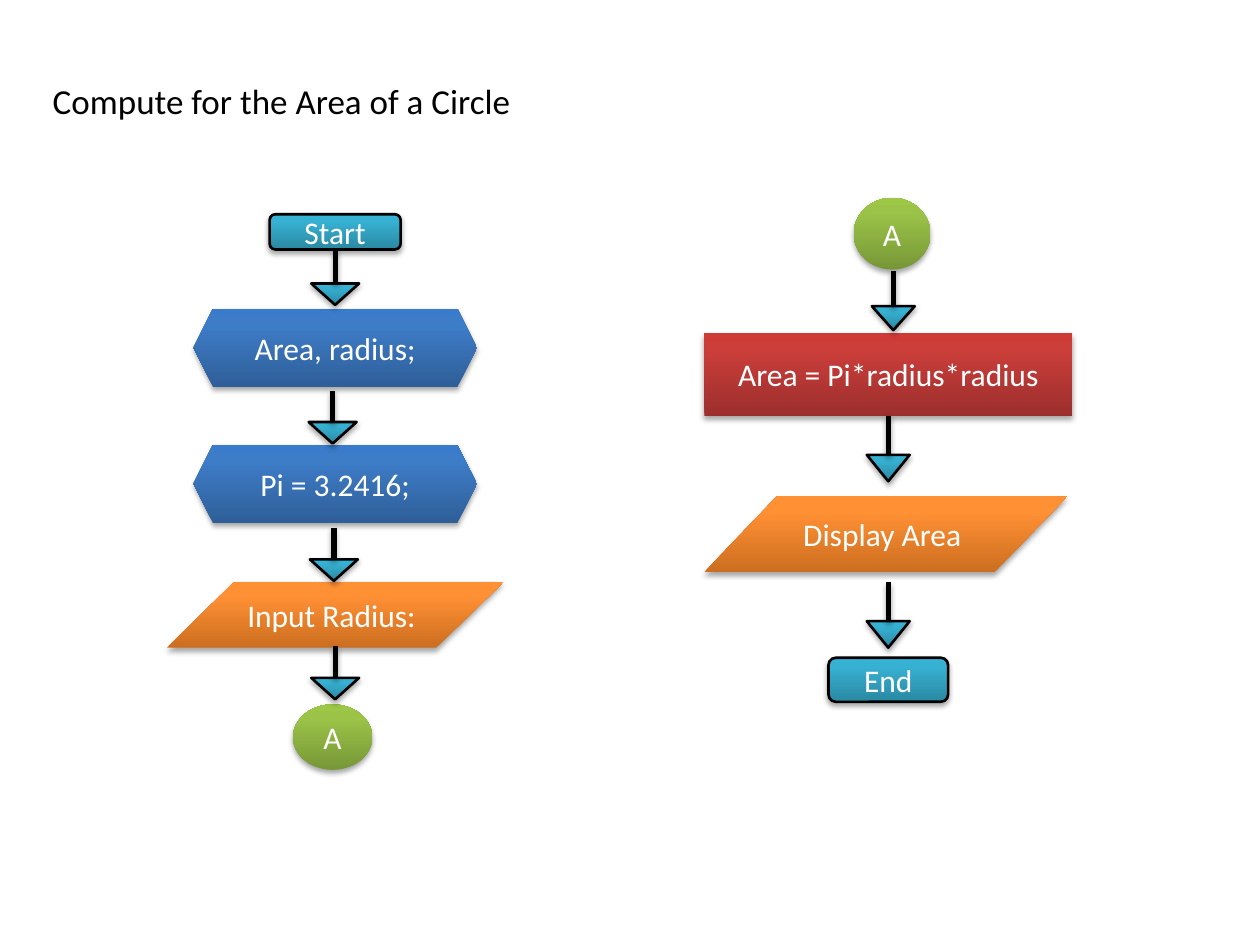
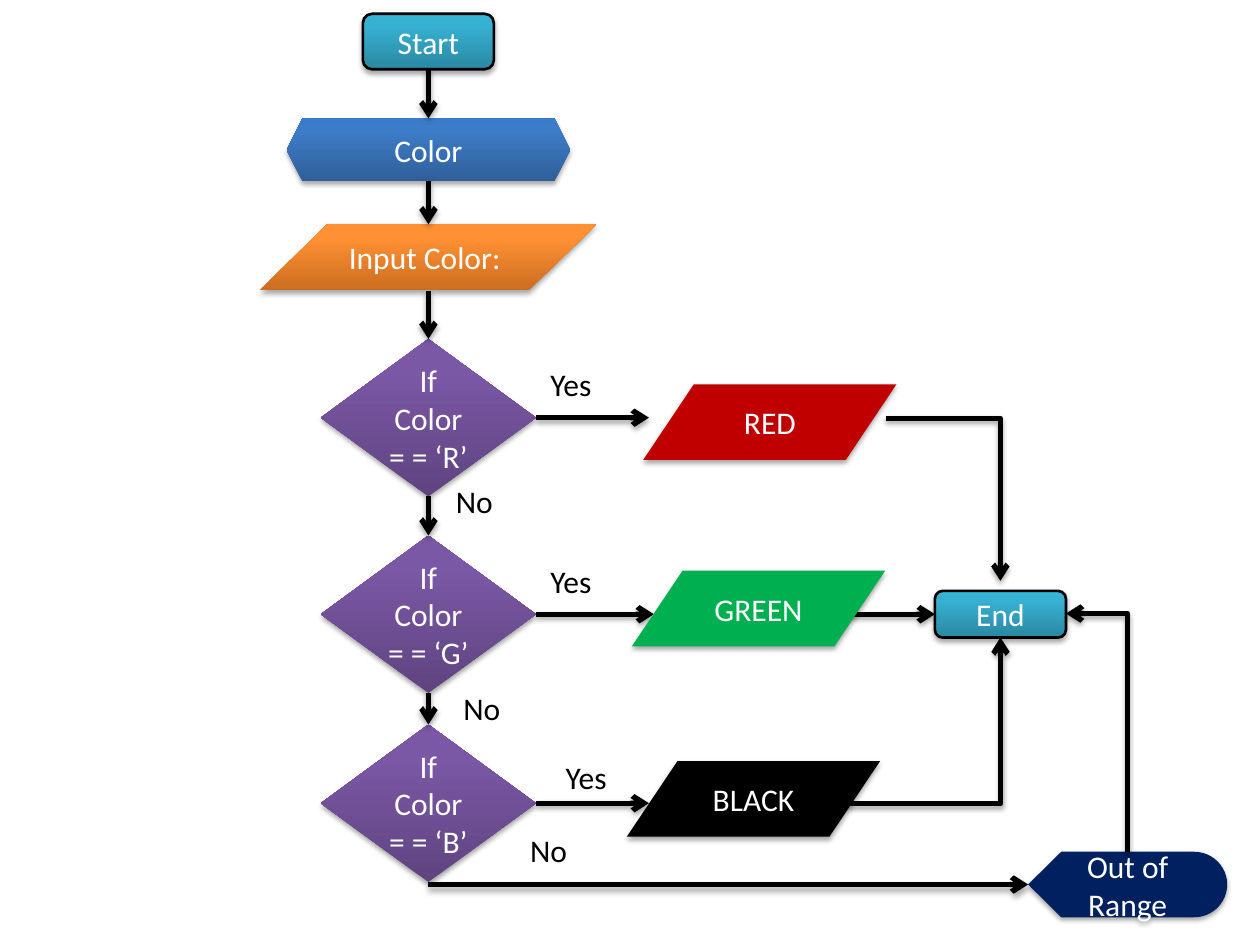
from copy import deepcopy
from dataclasses import dataclass

from pptx import Presentation, util as u
from pptx.dml.color import RGBColor
from pptx.enum import shapes, text as t
from pptx.oxml import parse_xml
from pptx.oxml.ns import nsdecls, qn

MSO = shapes.MSO_SHAPE
TOP, LEFT, BOTTOM, RIGHT = range(4)


@dataclass(frozen=True)
class Theme:
    font: str = "Calibri"
    title_size: int = 20
    body_size: int = 18
    ink: str = "000000"
    paper: str = "FFFFFF"
    teal: tuple = ("2A88A2", "37B1D2", "34B4D6")
    blue: tuple = ("2F5F99", "3D7CC7", "3A7CCB")
    orange: tuple = ("CC6E20", "FF9034", "FF9136")
    brick: tuple = ("9C2F2D", "CB3E3A", "CE3B37")
    lime: tuple = ("779737", "9BC348", "9DC746")
    purple: tuple = ("5F4480", "7B58A6", "7C57A8")
    red: str = "C00000"
    green: str = "00B050"
    navy: str = "002060"
    stops: tuple = (0, 0.8, 1)
    outline: float = 1.5
    stroke: float = 3


def rgb(value):
    return RGBColor.from_string(value)


def put_text(tf, content, *, font, size, color, align=None, anchor=None):
    tf.word_wrap = True
    tf.vertical_anchor = anchor
    p = tf.paragraphs[0]
    p.alignment = align
    r = p.add_run()
    r.text = content
    r.font.name, r.font.size = font, u.Pt(size)
    r.font.color.rgb = rgb(color)


class Flowchart:
    """Draws flowchart elements in one style on the current slide."""

    def __init__(self, prs, theme):
        self.prs, self.theme, self.s = prs, theme, None

    def new_slide(self):
        self.s = self.prs.slides.add_slide(self.prs.slide_layouts[6])

    def shadow(self, sp):
        spPr = sp._element.spPr
        for old in spPr.findall(qn("a:effectLst")):
            spPr.remove(old)
        spPr.append(parse_xml(
            f'<a:effectLst {nsdecls("a")}><a:outerShdw blurRad="{u.Pt(3.1)}" dist="{u.Pt(1.8)}" '
            f'dir="5400000" rotWithShape="0"><a:srgbClr val="{self.theme.ink}">'
            '<a:alpha val="35000"/></a:srgbClr></a:outerShdw></a:effectLst>'))

    def paint(self, sp, fill):
        if isinstance(fill, str):
            sp.fill.solid()
            sp.fill.fore_color.rgb = rgb(fill)
            return
        sp.fill.gradient()
        sp.fill.gradient_angle = 90
        stops = sp._element.spPr.find(".//" + qn("a:gsLst"))
        stops.append(deepcopy(stops[-1]))
        for stop, color, position in zip(sp.fill.gradient_stops, fill, self.theme.stops):
            stop.color.rgb, stop.position = rgb(color), position

    def node(self, preset, label, cx, top, width, height, fill, outlined=False):
        box = map(u.Inches, (cx - width / 2, top, width, height))
        sp = self.s.shapes.add_shape(preset, *box)
        self.paint(sp, fill)
        if outlined:
            sp.line.color.rgb = rgb(self.theme.ink)
            sp.line.width = u.Pt(self.theme.outline)
        else:
            sp.line.fill.background()
        sp.shadow.inherit = False
        self.shadow(sp)
        if label:
            put_text(sp.text_frame, label, font=self.theme.font, size=self.theme.body_size,
                     color=self.theme.paper, align=t.PP_ALIGN.CENTER, anchor=t.MSO_ANCHOR.MIDDLE)
        return sp

    def terminal(self, label, *box):
        return self.node(MSO.FLOWCHART_ALTERNATE_PROCESS, label, *box, self.theme.teal, outlined=True)

    def declare(self, label, *box):
        return self.node(MSO.HEXAGON, label, *box, self.theme.blue)

    def data(self, label, *box, fill=None):
        return self.node(MSO.FLOWCHART_DATA, label, *box, fill or self.theme.orange)

    def page_link(self, label, *box):
        return self.node(MSO.FLOWCHART_CONNECTOR, label, *box, self.theme.lime)

    def decision(self, label, *box):
        return self.node(MSO.FLOWCHART_DECISION, label, *box, self.theme.purple)

    def label(self, content, left, top, width, height, size=None):
        sp = self.s.shapes.add_textbox(*map(u.Inches, (left, top, width, height)))
        put_text(sp.text_frame, content, font=self.theme.font,
                 size=size or self.theme.body_size, color=self.theme.ink)

    def line(self, start, end, begin=None, finish=None, arrow=True):
        c = self.s.shapes.add_connector(shapes.MSO_CONNECTOR.STRAIGHT, *map(u.Inches, (*start, *end)))
        if begin:
            c.begin_connect(*begin)
        if finish:
            c.end_connect(*finish)
        c.line.color.rgb = rgb(self.theme.ink)
        c.line.width = u.Pt(self.theme.stroke)
        if arrow:
            c.line._get_or_add_ln().append(parse_xml(f'<a:tailEnd {nsdecls("a")} type="arrow"/>'))
        self.shadow(c)
        return c

    def elbow(self, start, end, upward_first=False):
        if upward_first:
            (x1, y1), (x2, y2) = start, end
            cx, cy = (x1 + x2) / 2, (y1 + y2) / 2
            dx, dy = abs(y2 - y1) / 2, abs(x2 - x1) / 2
            start, end = (cx - dx, cy + dy), (cx + dx, cy - dy)
        c = self.line(start, end)
        spPr = c._element.spPr
        spPr.find(qn("a:prstGeom")).set("prst", "bentConnector2")
        if upward_first:
            spPr.find(qn("a:xfrm")).set("rot", "16200000")

    def block_arrow(self, cx, top, stem, width, height, begin=None):
        head = self.node(MSO.FLOWCHART_MERGE, "", cx, top + stem, width, height,
                         self.theme.teal, outlined=True)
        self.line((cx, top), (cx, top + stem), begin, (head, TOP), arrow=False)


def circle_area(fc):
    fc.new_slide()
    fc.label("Compute for the Area of a Circle", 0.32, 0.58, 3.85, 0.44, fc.theme.title_size)

    left = 2.66
    start = fc.terminal("Start", left, 1.7, 1.04, 0.28)
    for name, top in (("Area, radius;", 2.45), ("Pi = 3.2416;", 3.53)):
        fc.declare(name, left, top, 2.25, 0.62)
    fc.data("Input Radius: ", left, 4.62, 2.67, 0.52)
    fc.page_link("A", 2.64, 5.59, 0.63, 0.52)
    for cx, top, begin in ((left, 2, (start, BOTTOM)), (2.64, 3.1, None),
                           (2.65, 4.19, None), (left, 5.13, None)):
        fc.block_arrow(cx, top, 0.25, 0.38, 0.17, begin)

    right = 7.05
    fc.page_link("A", 7.08, 1.57, 0.61, 0.57)
    formula = fc.node(MSO.RECTANGLE, "Area = Pi*radius*radius", right, 2.64, 2.92, 0.66, fc.theme.brick)
    fc.data("Display Area ", 7.03, 3.94, 2.88, 0.6)
    fc.terminal("End", right, 5.22, 0.95, 0.35)
    fc.block_arrow(7.09, 2.15, 0.28, 0.34, 0.19)
    for top, begin in ((3.3, (formula, BOTTOM)), (4.62, None)):
        fc.block_arrow(right, top, 0.31, 0.34, 0.21, begin)


def color_choice(fc):
    fc.new_slide()
    main, end_x = 3.4, 7.94
    start = fc.terminal("Start", main, 0.11, 1.04, 0.44)
    fc.declare("Color", main, 0.94, 2.25, 0.5)
    fc.data("Input Color: ", main, 1.78, 2.67, 0.52)
    tests = [fc.decision(f"If Color = = ‘{code}’", main, top, 1.71, 1.25)
             for code, top in (("R", 2.69), ("G", 4.25), ("B", 5.75))]
    end = fc.terminal("End", end_x, 4.69, 1.04, 0.37)
    out = fc.node(MSO.FLOWCHART_DISPLAY, "Out of Range", 8.95, 6.76, 1.58, 0.52, fc.theme.navy)

    fc.line((main, 0.55), (main, 0.94), begin=(start, BOTTOM))
    fc.line((main, 1.44), (main, 1.78))
    fc.line((main, 2.31), (main, 2.69), finish=(tests[0], TOP))
    for upper, lower in zip(tests, tests[1:]):
        fc.line((main, 0), (main, 1), (upper, BOTTOM), (lower, TOP))
    for test, tip in zip(tests, (5.15, 5.19, 5.15)):
        middle = (test.top + test.height / 2) / u.Inches(1)
        fc.line((4.26, middle), (tip, middle), begin=(test, RIGHT))
    fc.line((6.5, 4.875), (7.42, 4.875), finish=(end, LEFT))
    fc.line((main, 7.02), (8.16, 7.02), finish=(out, LEFT))
    fc.elbow((7.03, 3.32), (end_x, 4.61))
    fc.elbow((6.62, 6.38), (end_x, 5.06))
    fc.elbow((8.95, 6.76), (8.46, 4.87), upward_first=True)

    for left, top in ((4.27, 2.85), (4.27, 4.41), (4.39, 5.97)):
        fc.label("Yes", left, top, 0.62, 0.4)
    for left, top in ((3.52, 3.78), (3.58, 5.42), (4.11, 6.55)):
        fc.label("No", left, top, 0.53, 0.4)
    for name, cx, top, fill in (("RED", 6.11, 3.05, fc.theme.red),
                                ("GREEN", 6.02, 4.53, fc.theme.green),
                                ("BLACK", 5.98, 6.04, fc.theme.ink)):
        fc.data(name, cx, top, 2.01, 0.6, fill=fill)


def main():
    prs = Presentation()
    prs.slide_width, prs.slide_height = u.Inches(10), u.Inches(7.5)
    fc = Flowchart(prs, Theme())
    circle_area(fc)
    color_choice(fc)
    prs.save("out.pptx")


if __name__ == "__main__":
    main()
